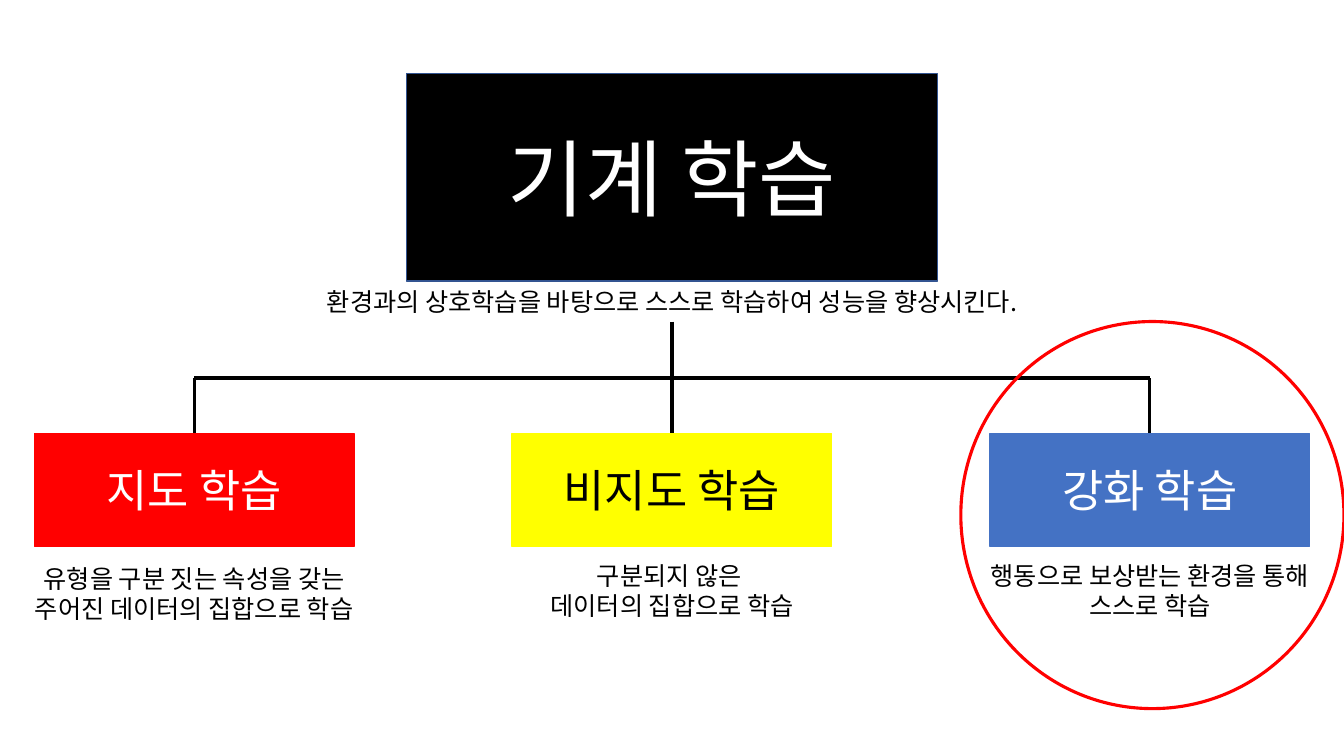
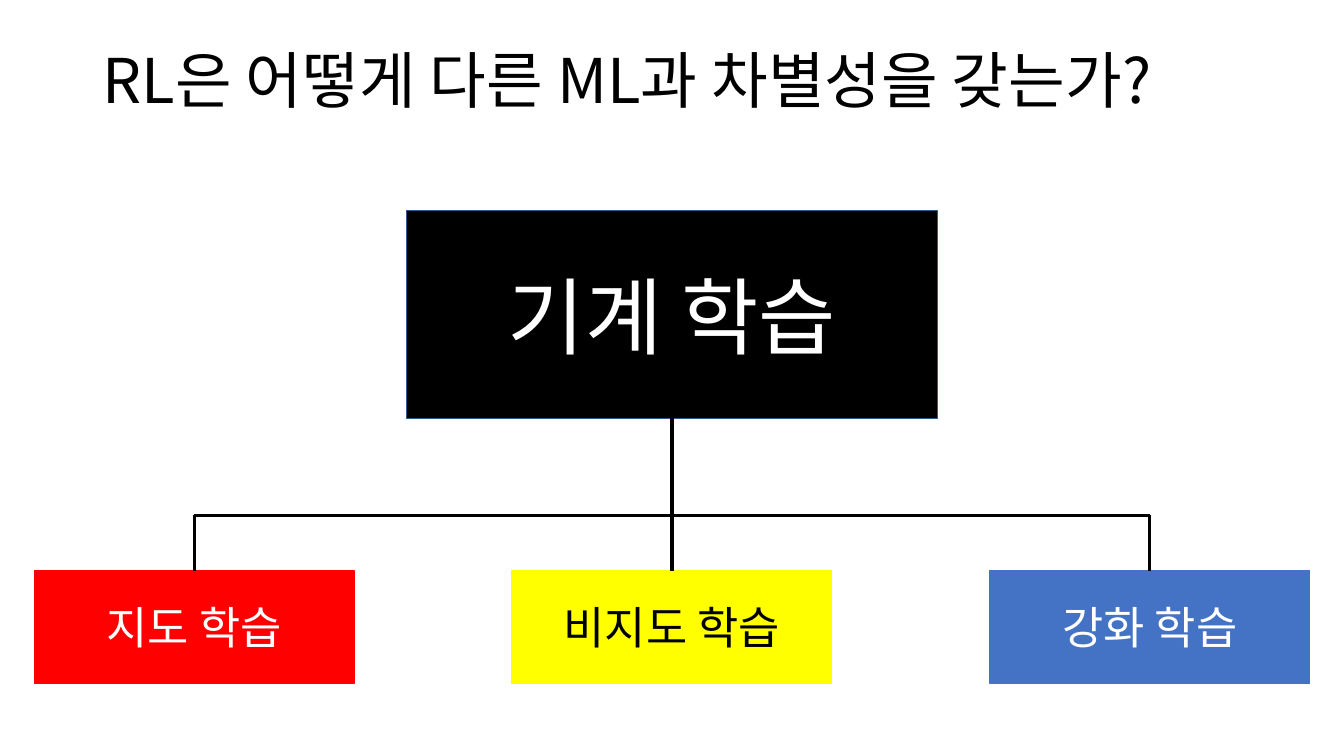
from lxml.etree import SubElement
from pptx import Presentation
from pptx.dml.color import RGBColor
from pptx.enum.shapes import MSO_CONNECTOR as Connector, MSO_SHAPE as Shape
from pptx.enum.text import MSO_ANCHOR as Anchor, MSO_AUTO_SIZE as AutoSize, PP_ALIGN as Align
from pptx.oxml.ns import qn
from pptx.util import Inches, Pt

FONT = "Noto Sans CJK KR"
BLACK, WHITE, RED, YELLOW, BLUE, NAVY = "000000", "FFFFFF", "FF0000", "FFFF00", "4472C4", "325491"
TITLE_ONLY, BLANK = 5, 6
TOP, BOTTOM = 0, 2
CENTER = 6.665
ROOT_WIDTH, ROOT_HEIGHT = 5.27, 2.06
BRANCH_WIDTH, BRANCH_HEIGHT, BRANCH_PITCH = 3.17, 1.12, 4.74
BRANCH_DROP, BUS_RISE = 3.57, 0.55
BRANCHES = [("지도 학습", RED, WHITE), ("비지도 학습", YELLOW, BLACK), ("강화 학습", BLUE, WHITE)]
BRANCH_CENTERS = [CENTER + step * BRANCH_PITCH for step in (-1, 0, 1)]
CAPTIONS = [
    ("유형을 구분 짓는 속성을 갖는\n주어진 데이터의 집합으로 학습", 5.54, 3.75),
    ("구분되지 않은 \n데이터의 집합으로 학습", 5.51, 2.99),
    ("행동으로 보상받는 환경을 통해\n스스로 학습", 5.51, 3.75),
]


def rgb(value):
    """Turn a hex string into a colour."""
    return RGBColor.from_string(value)


class Board:
    """Hold the deck, its style and the current page."""

    def __init__(self):
        """Start an empty wide deck."""
        self.deck = Presentation()
        self.deck.slide_width, self.deck.slide_height = Inches(13.33), Inches(7.5)
        self.page = None

    def add_page(self, layout):
        """Make a new page the current one."""
        self.page = self.deck.slides.add_slide(self.deck.slide_layouts[layout])

    def set_text(self, box, text, size, color, align=Align.CENTER):
        """Put formatted text into a box."""
        box.text_frame.text = text
        for para in box.text_frame.paragraphs:
            para.alignment = align
            for span in para.runs:
                span.font.name, span.font.size = FONT, Pt(size)
                span.font.color.rgb = rgb(color)
                SubElement(span.font._element, qn("a:ea"), typeface=FONT)

    def title(self, text):
        """Fill and place the title placeholder."""
        box = self.page.shapes.title
        box.left, box.top, box.width, box.height = map(Inches, (0.92, 0.1, 11.5, 1.45))
        self.set_text(box, text, 44, BLACK, Align.LEFT)
        frame = box.text_frame
        frame.auto_size, frame.vertical_anchor = AutoSize.NONE, Anchor.MIDDLE
        frame.paragraphs[0].line_spacing = 0.9

    def outline(self, kind, center, top, width, height, color, weight):
        """Add an unfilled shape centred on a vertical axis."""
        box = self.page.shapes.add_shape(
            kind, Inches(center - width / 2), Inches(top), Inches(width), Inches(height))
        box.shadow.inherit = False
        box.fill.background()
        box.line.color.rgb, box.line.width = rgb(color), Pt(weight)
        return box

    def block(self, text, center, top, width, height, fill, border, color, size):
        """Add a filled rectangle with a centred label."""
        box = self.outline(Shape.RECTANGLE, center, top, width, height, border, 1)
        box.fill.solid()
        box.fill.fore_color.rgb = rgb(fill)
        box.text_frame.vertical_anchor = Anchor.MIDDLE
        self.set_text(box, text, size, color)
        return box

    def caption(self, text, center, top, width, height):
        """Add centred plain text that does not wrap."""
        box = self.page.shapes.add_textbox(
            Inches(center - width / 2), Inches(top), Inches(width), Inches(height))
        self.set_text(box, text, 18, BLACK)
        box.text_frame.word_wrap = False
        box.text_frame.auto_size = AutoSize.SHAPE_TO_FIT_TEXT
        return box

    def line(self, start, end, above=None, below=None):
        """Draw a line, joined to the box above or below it when given."""
        line = self.page.shapes.add_connector(
            Connector.STRAIGHT, *map(Inches, start + end))
        line.line.color.rgb, line.line.width = rgb(BLACK), Pt(2.25)
        SubElement(line._element.spPr, qn("a:effectLst"))
        if above is not None:
            line.begin_connect(above, BOTTOM)
        if below is not None:
            line.end_connect(below, TOP)

    def tree(self, top, summary=None):
        """Draw the root, its branches and the lines between them."""
        root = self.block("기계 학습", CENTER, top, ROOT_WIDTH, ROOT_HEIGHT, BLACK, NAVY, WHITE, 60)
        trunk_top, branch_top = top + ROOT_HEIGHT, top + BRANCH_DROP
        bus = branch_top - BUS_RISE
        branches = [
            self.block(text, center, branch_top, BRANCH_WIDTH, BRANCH_HEIGHT, fill, fill, color, 32)
            for center, (text, fill, color) in zip(BRANCH_CENTERS, BRANCHES)]
        if summary:
            root = self.caption(summary, CENTER, trunk_top, 7.81, 0.4)
            trunk_top += 0.4
        left, middle, right = branches
        self.line((CENTER, trunk_top), (CENTER, branch_top), root, middle)
        for center, branch in ((BRANCH_CENTERS[0], left), (BRANCH_CENTERS[2], right)):
            self.line((center, bus), (center, branch_top), below=branch)
        self.line((BRANCH_CENTERS[0], bus), (BRANCH_CENTERS[2], bus))


def main():
    """Build both pages and save the deck."""
    board = Board()
    board.add_page(BLANK)
    board.tree(0.73, "환경과의 상호학습을 바탕으로 스스로 학습하여 성능을 향상시킨다.")
    for center, (text, top, width) in zip(BRANCH_CENTERS, CAPTIONS):
        board.caption(text, center, top, width, 0.71)
    board.outline(Shape.OVAL, 11.43, 3.19, 3.8, 3.84, RED, 2.25)

    board.add_page(TITLE_ONLY)
    board.title("RL은 어떻게 다른 ML과 차별성을 갖는가?")
    board.tree(2.09)
    board.deck.save("out.pptx")


if __name__ == "__main__":
    main()
